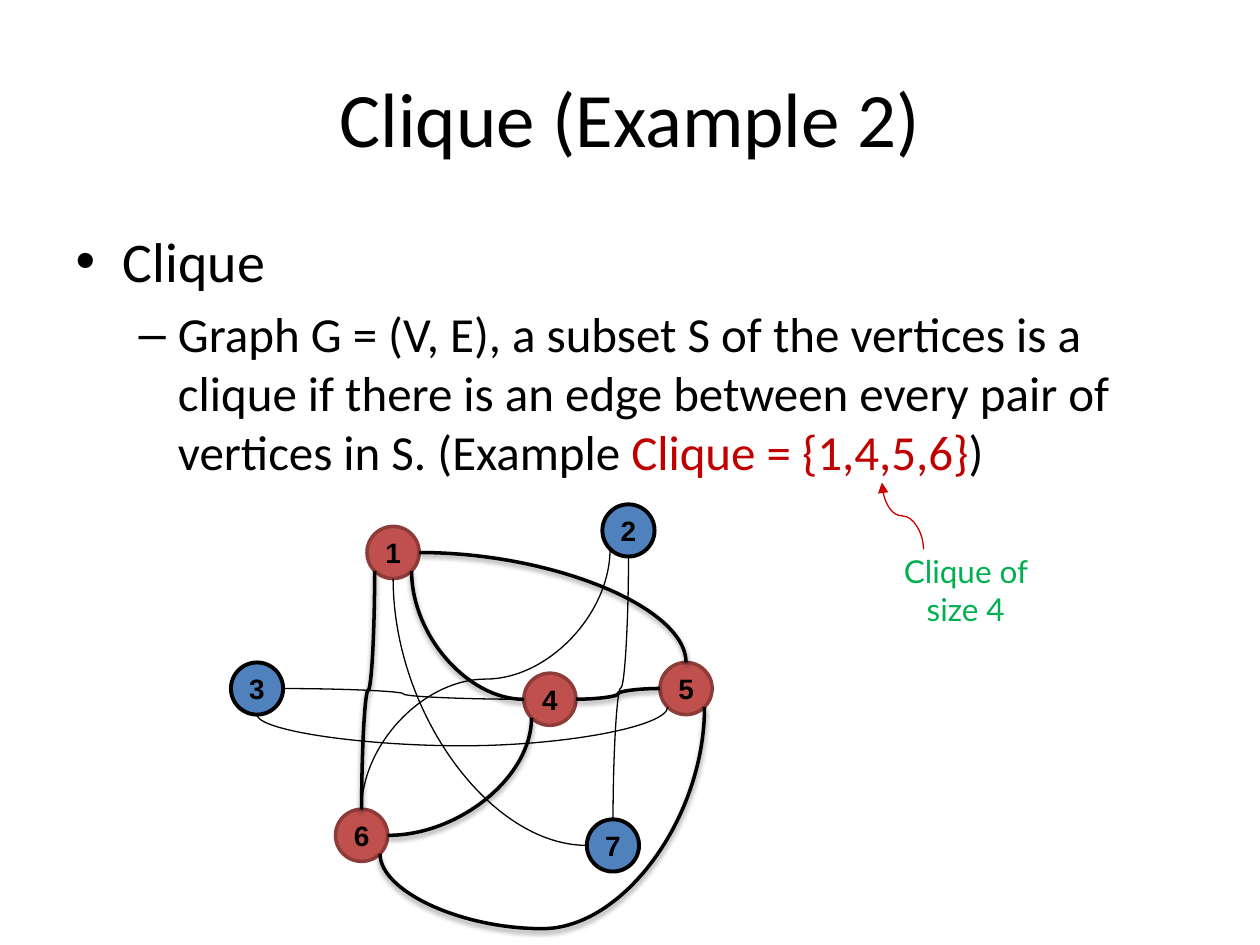
import math

from lxml import etree
from pptx import Presentation, util as u
from pptx.dml.color import RGBColor
from pptx.enum import shapes, text
from pptx.oxml.ns import qn

CELL = 0.1  # inches; the slide is 100 columns by 75 rows
NODE = 4.14  # node diameter in cells
SITES = ["T", "TL", "L", "BL", "B", "BR", "R", "TR"]  # counter-clockwise from the top

RED, BLUE = ("C0504D", "8E3B39", 2), ("4F81BD", "000000", 2.25)
NODES = {  # centre column, centre row, (fill, outline, outline width)
    "1": (31.2, 43.85, RED), "3": (20.4, 54.65, BLUE), "2": (49.88, 42.1, BLUE),
    "6": (28.7, 66.3, RED), "7": (48.65, 67.1, BLUE), "4": (43.65, 55.5, RED),
    "5": (54.45, 54.65, RED),
}
EDGES = [  # node, site, node, site, in the clique, row of the bend when outside
    ("3", "B", "5", "BL", False, 59.2),
    ("1", "R", "5", "T", True, None),
    ("1", "BR", "4", "L", True, None),
    ("1", "BL", "6", "T", True, None),
    ("1", "B", "7", "L", False, None),
    ("2", "B", "7", "T", False, None),
    ("2", "BL", "6", "T", False, None),
    ("3", "R", "4", "L", False, None),
    ("4", "R", "5", "L", True, None),
    ("4", "BL", "6", "R", True, None),
    ("5", "BR", "6", "BR", True, 73.7),
]


def cells(n):
    return u.Inches(n * CELL)


def color(hex_string):
    return RGBColor.from_string(hex_string)


def add(parent, tag, **attrs):
    return etree.SubElement(parent, qn(tag), attrs)


def set_all(obj, values):
    for name, value in values.items():
        setattr(obj, name, value)


def site_point(node, site):
    x, y, _ = NODES[node]
    angle = SITES.index(site) * math.pi / 4
    return x - NODE / 2 * math.sin(angle), y - NODE / 2 * math.cos(angle)


class Deck:
    """Holds the text styles and the slide being drawn."""

    fonts = {
        "title": {"name": "Calibri", "size": u.Pt(44)},
        "item": {"name": "Calibri", "size": u.Pt(32)},
        "subitem": {"name": "Calibri", "size": u.Pt(28)},
        "note": {"name": "Lato", "size": u.Pt(18)},
        "node": {"name": "Arial", "size": u.Pt(16), "bold": True},
    }

    def __init__(self, prs):
        self.slide = prs.slides.add_slide(prs.slide_layouts[1])
        self.nodes = {}

    def place(self, sp, x, y, w, h):
        set_all(sp, dict(zip(("left", "top", "width", "height"), map(cells, (x, y, w, h)))))

    def add_runs(self, p, style, *runs):
        """Add (text, colour) runs to a paragraph."""
        for words, hex_string in runs:
            r = p.add_run()
            r.text = words
            set_all(r.font, self.fonts[style])
            r.font.color.rgb = color(hex_string)

    def title(self, words, *box):
        sp = self.slide.shapes.title
        self.place(sp, *box)
        self.add_runs(sp.text_frame.paragraphs[0], "title", (words, "000000"))

    def body(self, paragraphs, *box):
        sp = self.slide.placeholders[1]
        self.place(sp, *box)
        tf = sp.text_frame
        for level, runs in enumerate(paragraphs):
            p = tf.add_paragraph() if level else tf.paragraphs[0]
            p.level = level
            self.add_runs(p, ("item", "subitem")[level], *runs)
        tf.paragraphs[0].space_before = u.Pt(0)

    def note(self, words, hex_string, *box):
        tf = self.slide.shapes.add_textbox(*map(cells, box)).text_frame
        margins = dict.fromkeys(
            ("margin_left", "margin_top", "margin_right", "margin_bottom"), cells(1))
        set_all(tf, {"word_wrap": True, "vertical_anchor": text.MSO_ANCHOR.MIDDLE, **margins})
        p = tf.paragraphs[0]
        p.alignment = text.PP_ALIGN.CENTER
        self.add_runs(p, "note", (words, hex_string))

    def node(self, label, x, y, look):
        fill, outline, width = look
        box = map(cells, (x - NODE / 2, y - NODE / 2, NODE, NODE))
        sp = self.slide.shapes.add_shape(shapes.MSO_SHAPE.OVAL, *box)
        sp.shadow.inherit = False
        sp.fill.solid()
        sp.fill.fore_color.rgb = color(fill)
        sp.line.color.rgb = color(outline)
        sp.line.width = u.Pt(width)
        tf = sp.text_frame
        set_all(tf, {"word_wrap": False, "vertical_anchor": text.MSO_ANCHOR.MIDDLE})
        p = tf.paragraphs[0]
        p.alignment = text.PP_ALIGN.CENTER
        self.add_runs(p, "node", (label, "000000"))
        self.nodes[label] = sp

    def curve(self, start, end, hex_string="000000", width=0.75, upright=True,
              turns=False, bend=None, arrow=False, shadow=False):
        """Draw a curve that leaves start vertically if upright; turns makes it a quarter arc."""
        dx, dy = end[0] - start[0], end[1] - start[1]
        mid_x, mid_y = (start[0] + end[0]) / 2, (start[1] + end[1]) / 2
        # An upright curve is a sideways one rotated by a quarter turn.
        w, h = (dy, -dx) if upright else (dx, dy)
        line = self.slide.shapes.add_connector(
            shapes.MSO_CONNECTOR.CURVE,
            *map(cells, (mid_x - w / 2, mid_y - h / 2, mid_x + w / 2, mid_y + h / 2)))
        line.line.color.rgb = color(hex_string)
        line.line.width = u.Pt(width)
        pr = line._element.spPr
        if upright:
            pr.find(qn("a:xfrm")).set("rot", "5400000")
        geom = pr.find(qn("a:prstGeom"))
        if turns:
            geom.set("prst", "curvedConnector2")
        elif bend is not None:
            share = round((bend - start[1]) / dy * 100000)
            add(geom.find(qn("a:avLst")), "a:gd", name="adj1", fmla=f"val {share}")
        if arrow:
            add(pr.find(qn("a:ln")), "a:tailEnd", type="triangle")
        effects = add(pr, "a:effectLst")
        if shadow:
            drop = add(effects, "a:outerShdw", blurRad=str(u.Pt(3.1)), dist=str(u.Pt(1.6)),
                       dir="5400000", rotWithShape="0")
            add(add(drop, "a:srgbClr", val="000000"), "a:alpha", val="38000")
        return line

    def edge(self, a, site_a, b, site_b, strong, bend):
        upright, end_upright = site_a not in "LR", site_b not in "LR"
        line = self.curve(site_point(a, site_a), site_point(b, site_b),
                          width=2 if strong else 0.75, upright=upright,
                          turns=upright != end_upright, bend=bend, shadow=strong)
        # Ovals have eight sites, so the joints are set directly.
        joints = line._element.find(".//" + qn("p:cNvCxnSpPr"))
        for tag, node, site in (("a:stCxn", a, site_a), ("a:endCxn", b, site_b)):
            add(joints, tag, id=str(self.nodes[node].shape_id), idx=str(SITES.index(site)))


def main():
    prs = Presentation()
    prs.slide_width, prs.slide_height = cells(100), cells(75)
    deck = Deck(prs)
    deck.title("Clique (Example 2)", 5, 3, 90, 12.5)
    deck.body([
        [("Clique", "000000")],
        [("Graph G = (V, E), a subset S of the vertices is a clique if there is an edge "
          "between every pair of vertices in S. (Example ", "000000"),
         ("Clique = {1,4,5,6}", "C00000"), (")", "000000")],
    ], 5, 17.5, 90, 22.5)
    deck.note("Clique of size 4", "00B050", 70, 43.2, 13.3, 7.2)
    deck.curve((73.3, 43.6), (70, 38.3), "CC0000", arrow=True)
    for label, (x, y, look) in NODES.items():
        deck.node(label, x, y, look)
    for edge in EDGES:
        deck.edge(*edge)
    prs.save("out.pptx")


if __name__ == "__main__":
    main()
